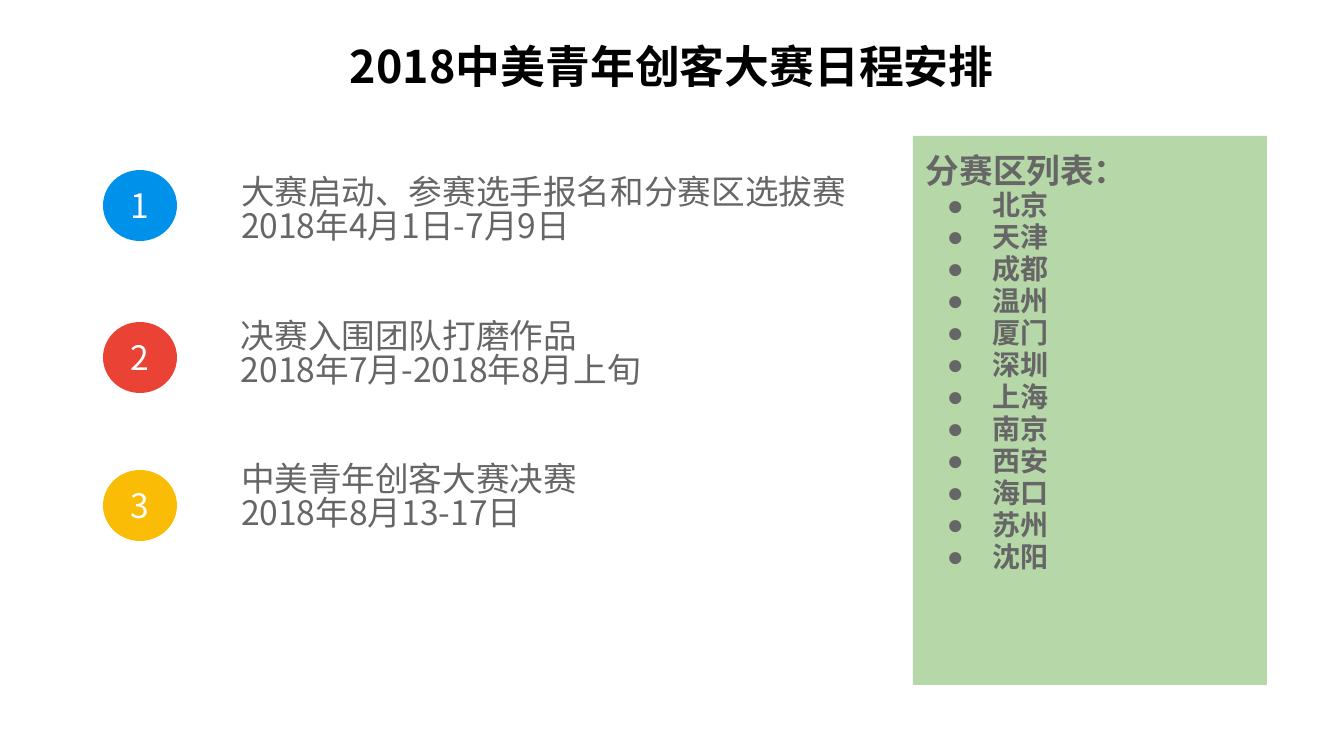
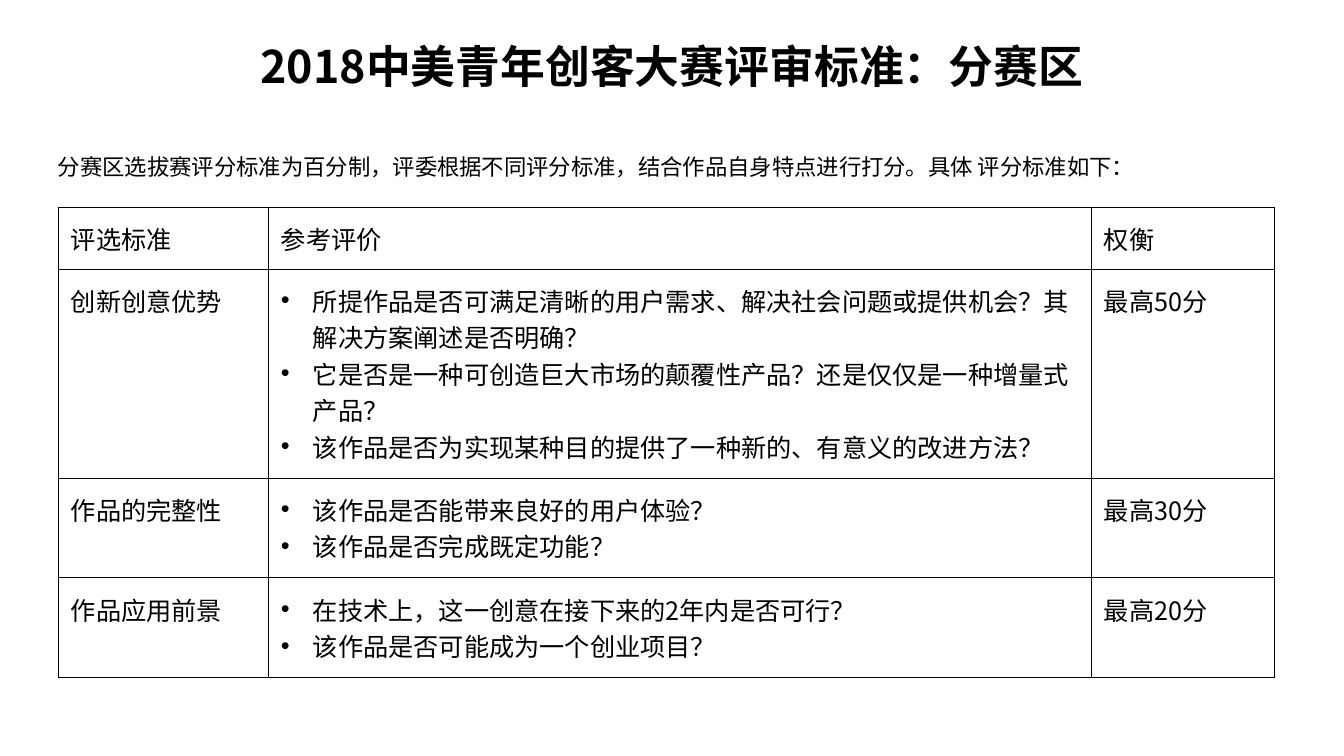
from dataclasses import dataclass

from lxml.etree import SubElement
from pptx import Presentation
from pptx.dml.color import RGBColor
from pptx.enum.shapes import MSO_SHAPE
from pptx.enum.text import MSO_ANCHOR, PP_ALIGN
from pptx.oxml.ns import qn
from pptx.slide import Slide
from pptx.table import _Cell
from pptx.text.text import TextFrame, _Paragraph
from pptx.util import Emu, Pt

# Shared look
EMU_PER_PIXEL = 914400 / 100.8
FONT = "Noto Sans CJK SC"
BULLET_FONT = "Arial"
INSET = 13

BLACK = RGBColor(0x00, 0x00, 0x00)
WHITE = RGBColor(0xFF, 0xFF, 0xFF)
GRAY = RGBColor(0x66, 0x66, 0x66)
BLUE = RGBColor(0x00, 0x91, 0xEA)
RED = RGBColor(0xEA, 0x43, 0x35)
YELLOW = RGBColor(0xFB, 0xBC, 0x05)
GREEN = RGBColor(0xB6, 0xD7, 0xA8)


@dataclass(frozen=True)
class Area:
    left: int
    top: int
    width: int
    height: int

    def emu(self) -> tuple[Emu, Emu, Emu, Emu]:
        return px(self.left), px(self.top), px(self.width), px(self.height)


@dataclass(frozen=True)
class TextStyle:
    size: int
    color: RGBColor
    bold: bool = False
    align: PP_ALIGN = PP_ALIGN.LEFT
    spacing: float = 1.0


@dataclass(frozen=True)
class Bullet:
    sign: str
    margin: int
    hanging: int


@dataclass(frozen=True)
class Stage:
    color: RGBColor
    circle_top: int
    text_top: int
    text_width: int
    name: str
    dates: str


@dataclass(frozen=True)
class Criterion:
    name: str
    questions: tuple[str, ...]
    weight: str
    height: int


TITLE_AREA = Area(207, 33, 930, 71)
TITLE = TextStyle(32, BLACK, bold=True, align=PP_ALIGN.CENTER, spacing=0.9)
NUMBER = TextStyle(24, WHITE, align=PP_ALIGN.CENTER)
STAGE_NAME = TextStyle(24, GRAY)
STAGE_DATES = TextStyle(24, GRAY, spacing=0.83)
REGION_HEADING = TextStyle(24, GRAY, bold=True)
REGION = TextStyle(20, GRAY, bold=True, spacing=0.95)
INTRO = TextStyle(16, BLACK)
CELL = TextStyle(18, BLACK)
REGION_BULLET = Bullet("●", 67, 46)
QUESTION_BULLET = Bullet("•", 32, 32)


def px(pixels: float) -> Emu:
    return Emu(round(pixels * EMU_PER_PIXEL))


# Text
def set_insets(target: TextFrame | _Cell) -> None:
    target.margin_left = target.margin_right = px(INSET)
    target.margin_top = target.margin_bottom = px(INSET)


def add_bullet(para: _Paragraph, bullet: Bullet) -> None:
    properties = para._p.get_or_add_pPr()
    properties.set("marL", str(px(bullet.margin)))
    properties.set("indent", str(px(-bullet.hanging)))
    SubElement(properties, qn("a:buFont"), typeface=BULLET_FONT)
    SubElement(properties, qn("a:buChar"), char=bullet.sign)


def format_para(para: _Paragraph, style: TextStyle) -> None:
    para.alignment = style.align
    para.line_spacing = style.spacing
    for span in para.runs:
        span.font.size = Pt(style.size)
        span.font.bold = style.bold
        span.font.color.rgb = style.color
        span.font.name = FONT
        SubElement(span.font._element, qn("a:ea"), typeface=FONT)


def write(frame: TextFrame, lines: list[tuple[str, TextStyle]]) -> None:
    frame.text = "\n".join(text for text, _ in lines)
    for para, (_, style) in zip(frame.paragraphs, lines):
        format_para(para, style)


def add_text(page: Slide, area: Area, lines: list[tuple[str, TextStyle]],
             anchor: MSO_ANCHOR = MSO_ANCHOR.TOP) -> None:
    frame = page.shapes.add_textbox(*area.emu()).text_frame
    frame.word_wrap = True
    frame.vertical_anchor = anchor
    set_insets(frame)
    write(frame, lines)


def add_title(page: Slide, text: str) -> None:
    add_text(page, TITLE_AREA, [(text, TITLE)], MSO_ANCHOR.MIDDLE)


# Filled shapes
def add_panel(page: Slide, kind: MSO_SHAPE, area: Area, color: RGBColor,
              lines: list[tuple[str, TextStyle]], anchor: MSO_ANCHOR) -> TextFrame:
    box = page.shapes.add_shape(kind, *area.emu())
    box.shadow.inherit = False
    box.fill.solid()
    box.fill.fore_color.rgb = color
    box.line.fill.background()
    frame = box.text_frame
    frame.word_wrap = True
    frame.vertical_anchor = anchor
    set_insets(frame)
    write(frame, lines)
    return frame


# Table cells
def add_borders(cell: _Cell) -> None:
    properties = cell._tc.get_or_add_tcPr()
    for index, side in enumerate(("lnL", "lnR", "lnT", "lnB")):
        line = properties.makeelement(qn(f"a:{side}"), {"w": str(Pt(0.75))})
        fill = SubElement(line, qn("a:solidFill"))
        SubElement(fill, qn("a:srgbClr"), val=str(BLACK))
        properties.insert(index, line)


def fill_cell(cell: _Cell, lines: tuple[str, ...], bulleted: bool = False) -> None:
    set_insets(cell)
    cell.fill.solid()
    cell.fill.fore_color.rgb = WHITE
    add_borders(cell)
    write(cell.text_frame, [(line, CELL) for line in lines])
    if bulleted:
        for para in cell.text_frame.paragraphs:
            add_bullet(para, QUESTION_BULLET)


# Schedule slide
STAGES = (
    Stage(BLUE, 170, 158, 874, "大赛启动、参赛选手报名和分赛区选拔赛", "2018年4月1日-7月9日"),
    Stage(RED, 322, 302, 786, "决赛入围团队打磨作品", "2018年7月-2018年8月上旬"),
    Stage(YELLOW, 470, 445, 647, "中美青年创客大赛决赛", "2018年8月13-17日"),
)
REGIONS = ("北京", "天津", "成都", "温州", "厦门", "深圳",
           "上海", "南京", "西安", "海口", "苏州", "沈阳")


def build_schedule(page: Slide) -> None:
    for number, stage in enumerate(STAGES, start=1):
        add_panel(page, MSO_SHAPE.OVAL, Area(103, stage.circle_top, 74, 71),
                  stage.color, [(str(number), NUMBER)], MSO_ANCHOR.MIDDLE)
        add_text(page, Area(228, stage.text_top, stage.text_width, 110),
                 [(stage.name, STAGE_NAME), (stage.dates, STAGE_DATES)])
    lines = [("分赛区列表：", REGION_HEADING)] + [(name, REGION) for name in REGIONS]
    frame = add_panel(page, MSO_SHAPE.RECTANGLE, Area(913, 136, 354, 549),
                      GREEN, lines, MSO_ANCHOR.TOP)
    frame.margin_top = px(INSET + 1)
    for para in frame.paragraphs[1:]:
        add_bullet(para, REGION_BULLET)
    add_title(page, "2018中美青年创客大赛日程安排")


# Judging slide
HEADINGS = ("评选标准", "参考评价", "权衡")
HEADING_HEIGHT = 62
COLUMN_WIDTHS = (210, 823, 183)
CRITERIA = (
    Criterion("创新创意优势", (
        "所提作品是否可满⾜清晰的⽤户需求、解决社会问题或提供机会？其解决⽅案阐述是否明确？",
        "它是否是⼀种可创造巨⼤市场的颠覆性产品？还是仅仅是⼀种增量式产品？",
        "该作品是否为实现某种⽬的提供了⼀种新的、有意义的改进方法？",
    ), "最高50分", 209),
    Criterion("作品的完整性", (
        "该作品是否能带来良好的⽤户体验？",
        "该作品是否完成既定功能？",
    ), "最高30分", 100),
    Criterion("作品应⽤前景", (
        "在技术上，这⼀创意在接下来的2年内是否可⾏？",
        "该作品是否可能成为⼀个创业项⽬？",
    ), "最高20分", 100),
)


def build_judging(page: Slide) -> None:
    heights = (HEADING_HEIGHT, *(criterion.height for criterion in CRITERIA))
    area = Area(58, 207, sum(COLUMN_WIDTHS), sum(heights))
    table = page.shapes.add_table(len(heights), len(COLUMN_WIDTHS), *area.emu()).table
    table.first_row = False
    table.horz_banding = False
    for column, width in zip(table.columns, COLUMN_WIDTHS):
        column.width = px(width)
    for row, height in zip(table.rows, heights):
        row.height = px(height)
    for column, heading in enumerate(HEADINGS):
        fill_cell(table.cell(0, column), (heading,))
    for row, criterion in enumerate(CRITERIA, start=1):
        fill_cell(table.cell(row, 0), (criterion.name,))
        fill_cell(table.cell(row, 1), criterion.questions, bulleted=True)
        fill_cell(table.cell(row, 2), (criterion.weight,))
    add_text(page, Area(45, 143, 1138, 47),
             [("分赛区选拔赛评分标准为百分制，评委根据不同评分标准，"
               "结合作品⾃⾝特点进⾏打分。具体 评分标准如下：", INTRO)],
             MSO_ANCHOR.MIDDLE)
    add_title(page, "2018中美青年创客大赛评审标准：分赛区")


# Deck
deck = Presentation()
deck.slide_width = px(1344)
deck.slide_height = px(756)
blank = deck.slide_layouts[6]
for build in (build_schedule, build_judging):
    build(deck.slides.add_slide(blank))
deck.save("out.pptx")
